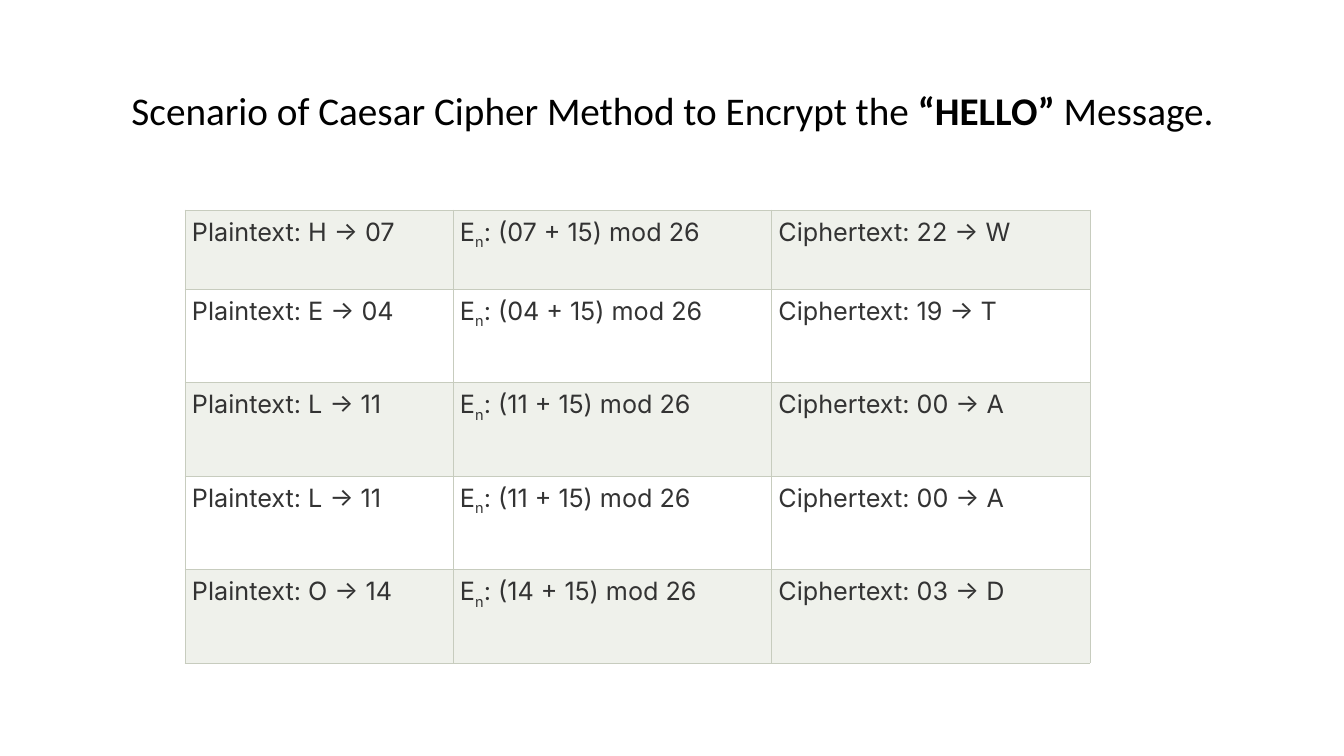
import lxml.etree
import pptx
import pptx.dml.color
import pptx.enum.text
import pptx.oxml.ns
import pptx.util

PX = 914400 / 100.8
COLORS = {
    "title": "000000",
    "text": "333333",
    "band": "EFF1EB",
    "plain": "FFFFFF",
    "border": "C7CCBE",
}
ALIGN = pptx.enum.text.PP_ALIGN
MESSAGE = "HELLO"
SHIFT = 15
ALPHABET = "ABCDEFGHIJKLMNOPQRSTUVWXYZ"
TITLE_FONT = {"name": "Calibri", "size": pptx.util.Pt(28)}
CELL_FONT = {"name": "Inter", "size": pptx.util.Pt(18)}


def px(length):
    return pptx.util.Emu(round(length * PX))


def rgb(name):
    return pptx.dml.color.RGBColor.from_string(COLORS[name])


def set_values(target, values):
    for name, value in values.items():
        setattr(target, name, value)


def add_run(paragraph, text, font, color):
    run = paragraph.add_run()
    run.text = text
    set_values(run.font, font)
    run.font.color.rgb = rgb(color)
    return run


def add_borders(cell):
    properties = cell._tc.get_or_add_tcPr()
    qualify = pptx.oxml.ns.qn
    for side in ("lnL", "lnR", "lnT", "lnB"):
        line = lxml.etree.SubElement(
            properties, qualify(f"a:{side}"), w=str(pptx.util.Pt(0.6)))
        fill = lxml.etree.SubElement(line, qualify("a:solidFill"))
        lxml.etree.SubElement(fill, qualify("a:srgbClr"), val=COLORS["border"])


def cipher_row(letter):
    plain = ALPHABET.index(letter)
    code = (plain + SHIFT) % len(ALPHABET)
    return (
        [f"Plaintext: {letter} → {plain:02}"],
        ["E", "n", f": ({plain:02} + {SHIFT}) mod {len(ALPHABET)}"],
        [f"Ciphertext: {code:02} → {ALPHABET[code]}"],
    )


def fill_cell(cell, parts, fill):
    add_borders(cell)
    cell.fill.solid()
    cell.fill.fore_color.rgb = rgb(fill)
    sides = ("left", "right", "top", "bottom")
    set_values(cell, {f"margin_{side}": px(7) for side in sides})
    paragraph = cell.text_frame.paragraphs[0]
    paragraph.alignment = ALIGN.JUSTIFY
    for part in parts:
        run = add_run(paragraph, part, CELL_FONT, "text")
        if part == "n":
            run._r.get_or_add_rPr().set("baseline", "-25000")


def place_title(slide, left, top, width, height):
    title = slide.shapes.title
    set_values(title, {"left": px(left), "top": px(top),
                       "width": px(width), "height": px(height)})
    frame = title.text_frame
    set_values(frame, {"word_wrap": True,
                       "vertical_anchor": pptx.enum.text.MSO_ANCHOR.MIDDLE})
    paragraph = frame.paragraphs[0]
    set_values(paragraph, {"alignment": ALIGN.CENTER, "line_spacing": 0.9})
    for text, bold in (
        ("Scenario of Caesar Cipher Method to Encrypt the ", False),
        (f"“{MESSAGE}” ", True),
        ("Message.", False),
    ):
        add_run(paragraph, text, {**TITLE_FONT, "bold": bold}, "title")


def add_cipher_table(slide, left, top, width, height):
    first_column, first_row = 268, 79
    rows = [cipher_row(letter) for letter in MESSAGE]
    columns = len(rows[0])
    table = slide.shapes.add_table(
        len(rows), columns, px(left), px(top), px(width), px(height)).table
    set_values(table, {"first_row": False, "horz_banding": False})
    for index, column in enumerate(table.columns):
        other = (width - first_column) / (columns - 1)
        column.width = px(other if index else first_column)
    for index, row in enumerate(table.rows):
        other = (height - first_row) / (len(rows) - 1)
        row.height = px(other if index else first_row)
        fill = "plain" if index % 2 else "band"
        for cell, parts in zip(row.cells, rows[index]):
            fill_cell(cell, parts, fill)


def main():
    presentation = pptx.Presentation()
    set_values(presentation, {"slide_width": px(1344), "slide_height": px(756)})
    slide = presentation.slides.add_slide(presentation.slide_layouts[5])
    place_title(slide, 93, 40, 1159, 146)
    add_cipher_table(slide, 185, 210, 905, 453)
    presentation.save("out.pptx")


if __name__ == "__main__":
    main()
